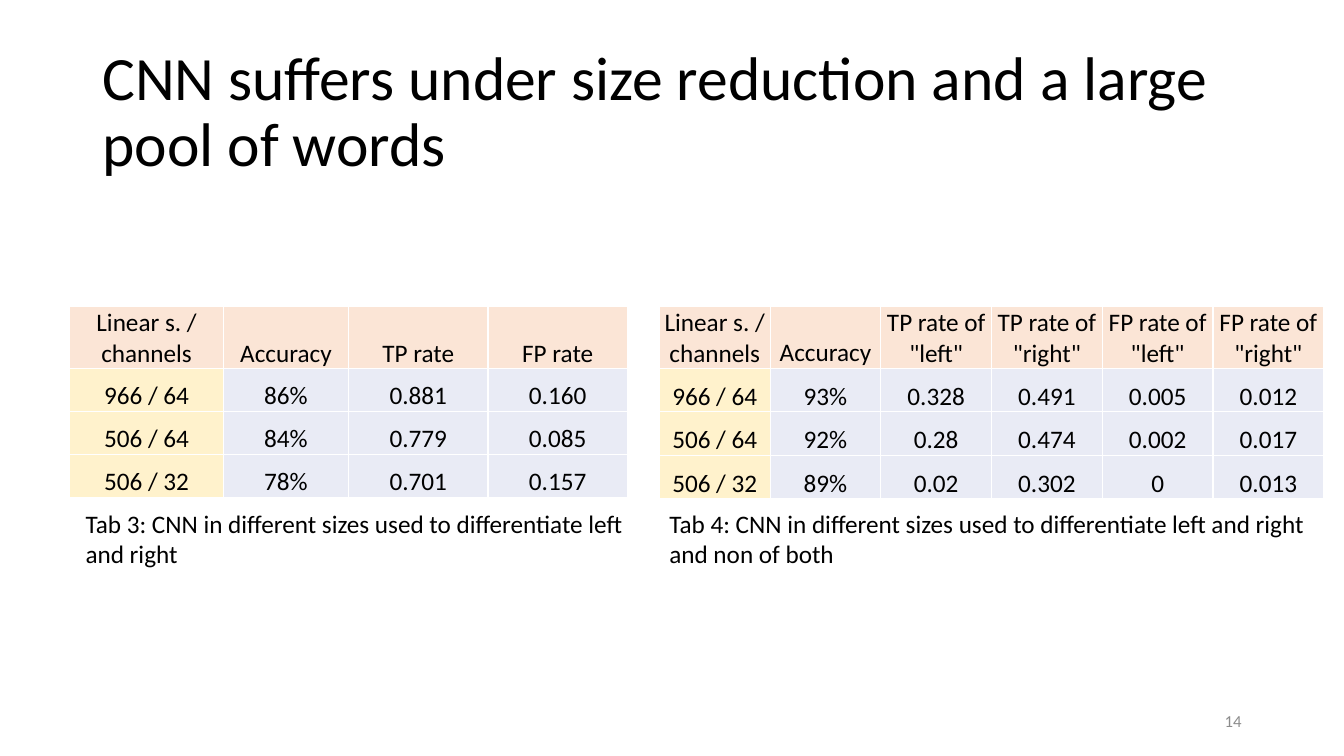
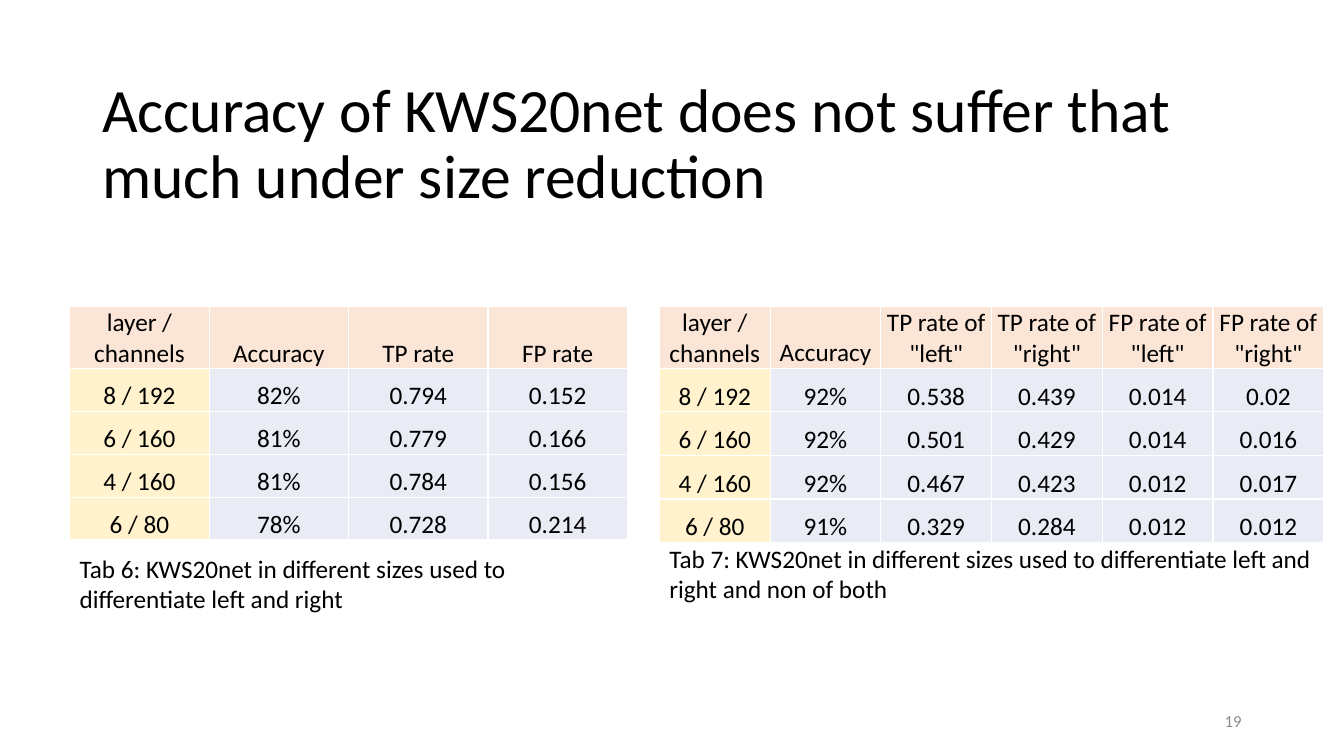
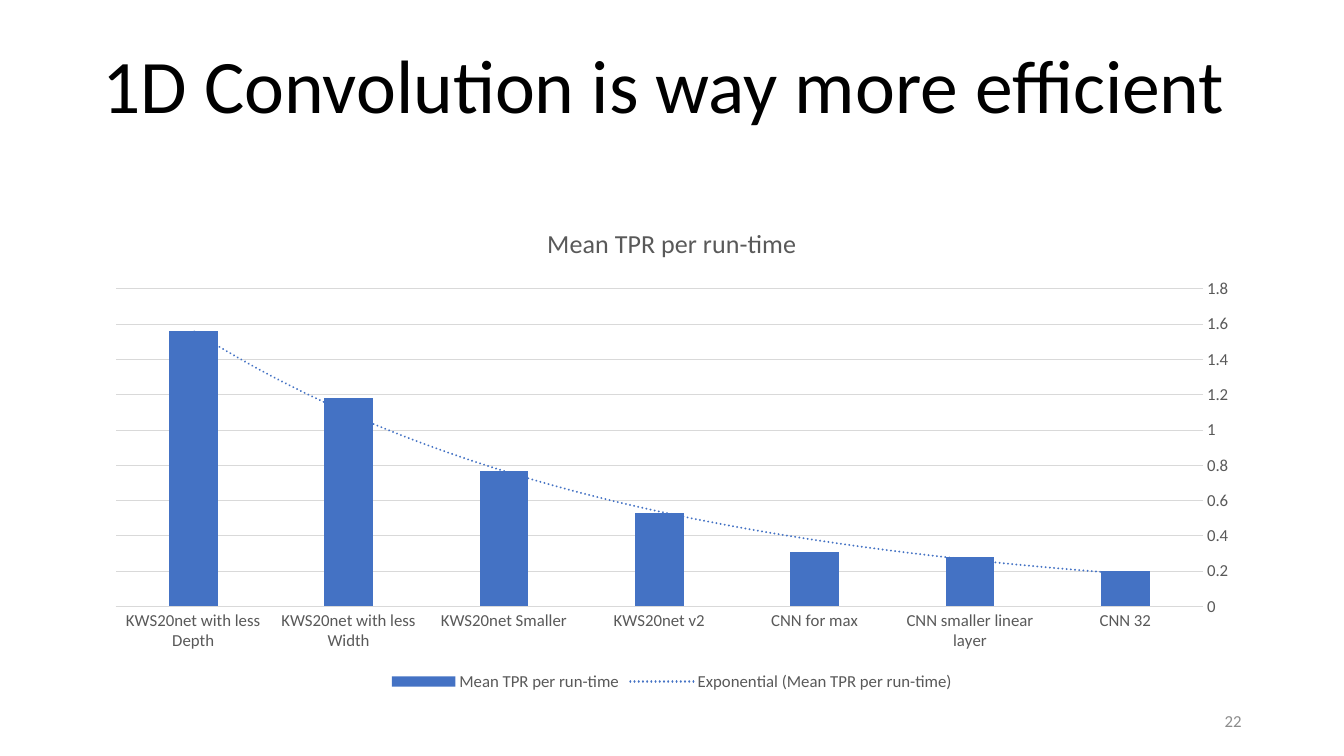
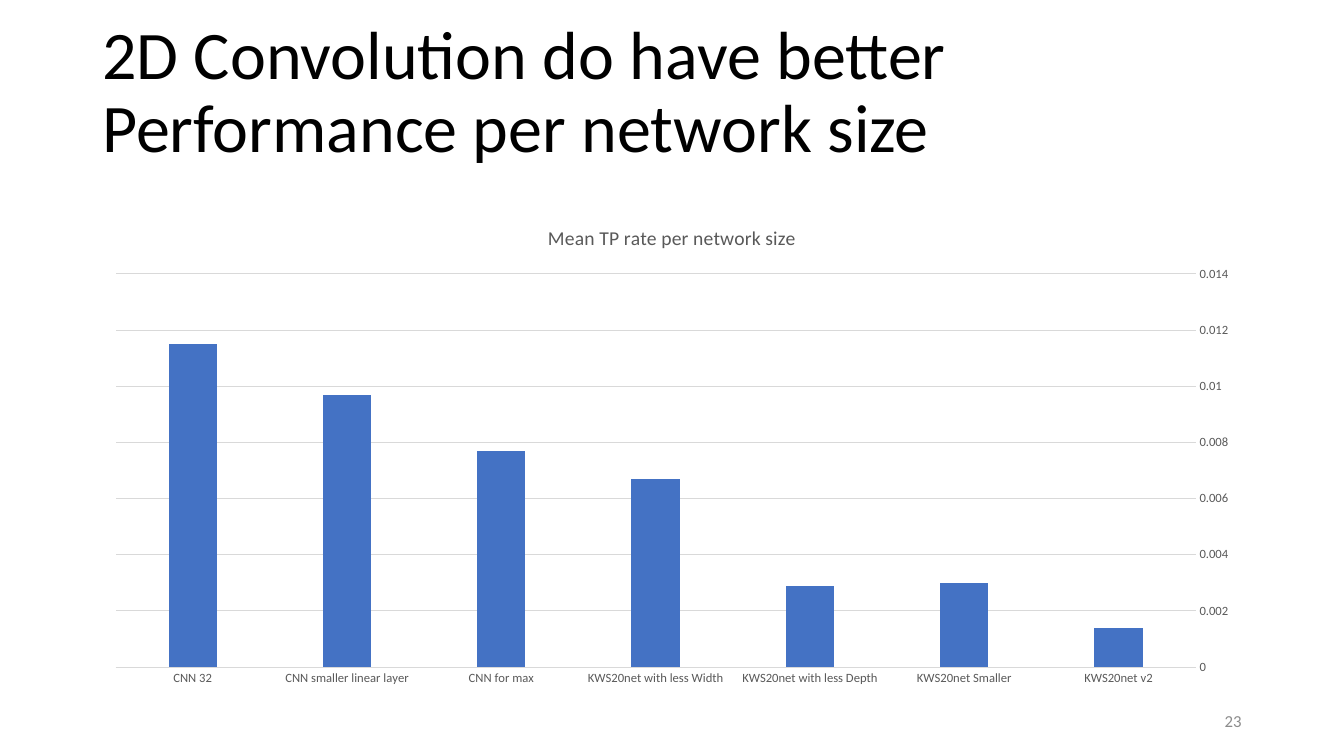
from pptx import Presentation
from pptx.chart.data import CategoryChartData
from pptx.dml.color import RGBColor
from pptx.enum.chart import XL_CHART_TYPE, XL_LEGEND_POSITION, XL_TICK_MARK
from pptx.enum.text import MSO_ANCHOR, PP_ALIGN
from pptx.oxml import parse_xml
from pptx.oxml.ns import nsdecls, qn
from pptx.util import Inches, Pt

COLUMN = XL_CHART_TYPE.COLUMN_CLUSTERED
LEGEND_BOTTOM = XL_LEGEND_POSITION.BOTTOM
NO_TICK = XL_TICK_MARK.NONE
TOP, MIDDLE, BOTTOM = MSO_ANCHOR.TOP, MSO_ANCHOR.MIDDLE, MSO_ANCHOR.BOTTOM
LEFT, CENTER, RIGHT = PP_ALIGN.LEFT, PP_ALIGN.CENTER, PP_ALIGN.RIGHT

FONT = "Calibri"
BLACK = RGBColor(0x00, 0x00, 0x00)
GRAY = RGBColor(0x8C, 0x8C, 0x8C)
CHART_GRAY = RGBColor(0x59, 0x59, 0x59)
GRID_GRAY = RGBColor(0xD9, 0xD9, 0xD9)
BLUE = RGBColor(0x44, 0x72, 0xC4)
HEAD_FILL = RGBColor(0xFB, 0xE5, 0xD6)
KEY_FILL = RGBColor(0xFF, 0xF2, 0xCC)
BODY_FILL = RGBColor(0xE9, 0xEB, 0xF5)

prs = Presentation()
prs.slide_width, prs.slide_height = Inches(40 / 3), Inches(7.5)
BLANK = prs.slide_layouts[6]

# The slide is a grid of 160 columns by 90 rows of square units.
UNIT = prs.slide_width // 160
MARGIN, CONTENT_W = 11, 138
TABLE_TOP = 36.5
CAPTION_H = 8.5
LEFT_X, LEFT_W = 8.3, 66.4
RIGHT_X, RIGHT_W = 78.5, 79.1


def grid(*units):
    """Turn grid units into slide lengths."""
    return [round(u * UNIT) for u in units]


def add_text(s, text, box, size, color=BLACK, anchor=TOP, align=LEFT, spacing=1.0):
    tf = s.shapes.add_textbox(*grid(*box)).text_frame
    tf.word_wrap = True
    tf.vertical_anchor = anchor
    p = tf.paragraphs[0]
    p.alignment, p.line_spacing = align, spacing
    r = p.add_run()
    r.text = text
    r.font.name, r.font.size, r.font.color.rgb = FONT, Pt(size), color


RATES = ["Accuracy", "TP rate", "FP rate"]
WORD_RATES = ["Accuracy", 'TP rate of "left"', 'TP rate of "right"',
              'FP rate of "left"', 'FP rate of "right"']
EVEN_4 = [LEFT_W / 4] * 4
EVEN_6 = [RIGHT_W / 6] * 6

# Each table: left edge, column widths, header height, row height, cells,
# then the caption's left, top, width and text.
table_slides = [
    ("CNN suffers under size reduction and a large pool of words", 4.8, 14, [
        (LEFT_X, [18.3, 14.9, 16.6, 16.6], 7.4, 5.1, [
            ["Linear s. / channels", *RATES],
            ["966 / 64", "86%", "0.881", "0.160"],
            ["506 / 64", "84%", "0.779", "0.085"],
            ["506 / 32", "78%", "0.701", "0.157"],
        ], 9, 59.9, LEFT_W,
         "Tab 3: CNN in different sizes used to differentiate left and right"),
        (RIGHT_X, EVEN_6, 7.1, 5.2, [
            ["Linear s. / channels", *WORD_RATES],
            ["966 / 64", "93%", "0.328", "0.491", "0.005", "0.012"],
            ["506 / 64", "92%", "0.28", "0.474", "0.002", "0.017"],
            ["506 / 32", "89%", "0.02", "0.302", "0", "0.013"],
        ], RIGHT_X, 59.9, RIGHT_W,
         "Tab 4: CNN in different sizes used to differentiate left and right and non of both"),
    ]),
    ("Accuracy of KWS20net does not suffer that much under size reduction", 8.6, 19, [
        (LEFT_X, EVEN_4, 7.4, 5.1, [
            ["layer / channels", *RATES],
            ["8 / 192", "82%", "0.794", "0.152"],
            ["6 / 160", "81%", "0.779", "0.166"],
            ["4 / 160", "81%", "0.784", "0.156"],
            ["6 / 80", "78%", "0.728", "0.214"],
        ], LEFT_X, 65.3, LEFT_W,
         "Tab 6: KWS20net in different sizes used to differentiate left and right"),
        (RIGHT_X, EVEN_6, 7.1, 5.2, [
            ["layer / channels", *WORD_RATES],
            ["8 / 192", "92%", "0.538", "0.439", "0.014", "0.02"],
            ["6 / 160", "92%", "0.501", "0.429", "0.014", "0.016"],
            ["4 / 160", "92%", "0.467", "0.423", "0.012", "0.017"],
            ["6 / 80", "91%", "0.329", "0.284", "0.012", "0.012"],
        ], RIGHT_X, 64.1, RIGHT_W,
         "Tab 7: KWS20net in different sizes used to differentiate left and right and non of both"),
    ]),
]

CELL_FORMAT = {"vertical_anchor": BOTTOM, "margin_left": Inches(0.01),
               "margin_right": Inches(0.01), "margin_top": Inches(0.01),
               "margin_bottom": 0}
BORDER = ('<a:{} {} w="12700"><a:solidFill><a:srgbClr val="FFFFFF"/>'
          '</a:solidFill></a:{}>')

for title, title_top, number, tables in table_slides:
    s = prs.slides.add_slide(BLANK)
    add_text(s, title, (MARGIN, title_top, CONTENT_W, 17.4), 44,
             anchor=MIDDLE, spacing=0.9)
    for x, widths, head_h, row_h, rows, cap_x, cap_y, cap_w, caption in tables:
        height = head_h + row_h * (len(rows) - 1)
        table = s.shapes.add_table(len(rows), len(widths),
                                   *grid(x, TABLE_TOP, sum(widths), height)).table
        table.first_row = table.horz_banding = False
        for column, width in zip(table.columns, grid(*widths)):
            column.width = width
        for i, row in enumerate(rows):
            table.rows[i].height = grid(row_h if i else head_h)[0]
            for j, text in enumerate(row):
                cell = table.cell(i, j)
                for name, value in CELL_FORMAT.items():
                    setattr(cell, name, value)
                tcPr = cell._tc.get_or_add_tcPr()
                for side in ("lnL", "lnR", "lnT", "lnB"):
                    tcPr.append(parse_xml(BORDER.format(side, nsdecls("a"), side)))
                cell.fill.solid()
                cell.fill.fore_color.rgb = (HEAD_FILL if i == 0 else
                                            KEY_FILL if j == 0 else BODY_FILL)
                p = cell.text_frame.paragraphs[0]
                p.alignment = CENTER
                r = p.add_run()
                r.text = text
                r.font.name, r.font.size, r.font.color.rgb = FONT, Pt(18), BLACK
        add_text(s, caption, (cap_x, cap_y, cap_w, CAPTION_H), 18)
    add_text(s, str(number), (113, 83.4, 36, 4.8), 12, GRAY, MIDDLE, RIGHT)

# Each chart: slide title, its top and size, slide number, series name,
# title size, label size, whether it has a trend line, values by category.
chart_slides = [
    ("1D Convolution is way more efficient", 3.8, 54, 22,
     "Mean TPR per run-time", 18.6, 12, True,
     {"CNN 32": 0.2, "CNN smaller linear layer": 0.28, "CNN for max": 0.31,
      "KWS20net v2": 0.53, "KWS20net Smaller": 0.77,
      "KWS20net with less Width": 1.18, "KWS20net with less Depth": 1.56}),
    ("2D Convolution do have better Performance per network size", 8.3, 48.6, 23,
     "Mean TP rate per network size", 14, 9, False,
     {"KWS20net v2": 0.0014, "KWS20net Smaller": 0.003,
      "KWS20net with less Depth": 0.0029, "KWS20net with less Width": 0.0067,
      "CNN for max": 0.0077, "CNN smaller linear layer": 0.0097, "CNN 32": 0.0115}),
]

TREND = (f'<c:trendline {nsdecls("c", "a")}><c:spPr><a:ln w="19050" cap="rnd">'
         f'<a:solidFill><a:srgbClr val="{BLUE}"/></a:solidFill>'
         '<a:prstDash val="sysDot"/></a:ln></c:spPr><c:trendlineType val="exp"/>'
         '<c:dispRSqr val="0"/><c:dispEq val="0"/></c:trendline>')

for (title, title_top, title_size, number, name, heading_size, label_size,
     has_trend, values) in chart_slides:
    s = prs.slides.add_slide(BLANK)
    add_text(s, title, (MARGIN, title_top, CONTENT_W, 12.2), title_size,
             anchor=BOTTOM, spacing=0.9)
    add_text(s, str(number), (113, 83.4, 36, 4.8), 12, GRAY, MIDDLE, RIGHT)

    data = CategoryChartData()
    data.categories = list(values)
    data.add_series(name, list(values.values()))
    chart = s.shapes.add_chart(COLUMN, *grid(MARGIN, 24.5, CONTENT_W, 58.3), data).chart
    chart.font.name, chart.font.size = FONT, Pt(label_size)
    chart.font.color.rgb = CHART_GRAY

    chart.has_title = True
    r = chart.chart_title.text_frame.paragraphs[0].add_run()
    r.text = name
    r.font.name, r.font.size, r.font.bold = FONT, Pt(heading_size), False
    r.font.color.rgb = CHART_GRAY

    chart.has_legend = has_trend
    if has_trend:
        chart.legend.position = LEGEND_BOTTOM
        chart.legend.include_in_layout = False

    plot = chart.plots[0]
    plot.gap_width, plot.overlap, plot.vary_by_categories = 219, -27, False
    series = plot.series[0]
    series.format.fill.solid()
    series.format.fill.fore_color.rgb = BLUE
    if has_trend:
        series._element.find(qn("c:cat")).addprevious(parse_xml(TREND))

    cat_axis, val_axis = chart.category_axis, chart.value_axis
    for axis in (cat_axis, val_axis):
        axis.major_tick_mark = axis.minor_tick_mark = NO_TICK
    cat_axis.reverse_order = True
    val_axis.has_major_gridlines = True
    for line in (cat_axis.format.line, val_axis.major_gridlines.format.line):
        line.color.rgb, line.width = GRID_GRAY, Pt(0.75)
    val_axis.format.line.fill.background()

prs.save("out.pptx")
